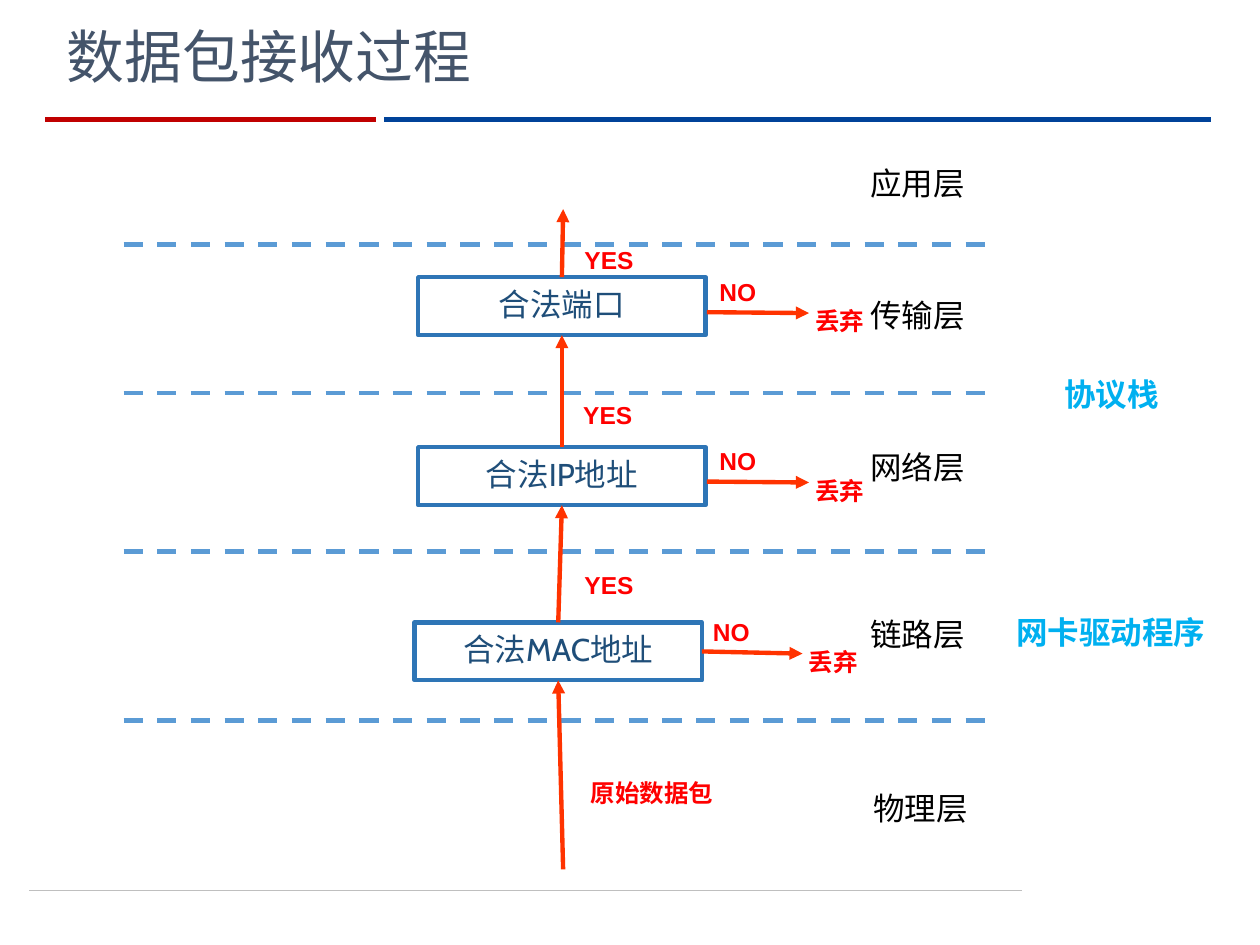
import pptx
import pptx.util
import pptx.dml.color
import pptx.enum.dml
import pptx.enum.shapes
import pptx.enum.text
import pptx.oxml.ns
import lxml.etree

Pt = pptx.util.Pt
Anchor = pptx.enum.text.MSO_ANCHOR
Align = pptx.enum.text.PP_ALIGN
TOP, BOTTOM, RIGHT = 0, 2, 3

COLORS = {
    "title": "44546A",
    "footer_rule": "BFBFBF",
    "blue_rule": "004299",
    "red_rule": "C00000",
    "divider": "5B9BD5",
    "arrow": "FF3300",
    "box_fill": "FFFFFF",
    "box_line": "2E75B6",
    "box_text": "1F4E79",
    "layer": "000000",
    "verdict": "FF0000",
    "component": "00B0F0",
}


def color(name):
    return pptx.dml.color.RGBColor.from_string(COLORS[name])


def write_run(paragraph, text, size, font_name, color_name, bold=False):
    run = paragraph.add_run()
    run.text = text
    run.font.size = Pt(size)
    run.font.name = font_name
    run.font.bold = bold
    run.font.color.rgb = color(color_name)
    paragraph.line_spacing = 0.9


def add_title(slide, text):
    title = slide.shapes.title
    title.left, title.top, title.width, title.height = Pt(31), Pt(9.4), Pt(342), Pt(46)
    frame = title.text_frame
    frame.auto_size = pptx.enum.text.MSO_AUTO_SIZE.NONE
    frame.vertical_anchor = Anchor.BOTTOM
    paragraph = frame.paragraphs[0]
    paragraph.alignment = Align.LEFT
    write_run(paragraph, text, 33, "Cabin", "title")


def add_line(slide, start, end, color_name, width):
    line = slide.shapes.add_connector(
        pptx.enum.shapes.MSO_CONNECTOR.STRAIGHT, *map(Pt, start + end))
    line.line.color.rgb = color(color_name)
    line.line.width = Pt(width)
    lxml.etree.SubElement(line._element.spPr, pptx.oxml.ns.qn("a:effectLst"))
    return line


def add_divider(slide, y):
    divider = add_line(slide, (70.6, y), (569.5, y), "divider", 2.75)
    divider.line.dash_style = pptx.enum.dml.MSO_LINE.DASH


def add_arrow(slide, start, end, source=None, target=None):
    arrow = add_line(slide, start, end, "arrow", 2.5)
    tail = lxml.etree.SubElement(arrow.line._get_or_add_ln(), pptx.oxml.ns.qn("a:tailEnd"))
    tail.set("type", "triangle")
    if source is not None:
        arrow.begin_connect(*source)
    if target is not None:
        arrow.end_connect(*target)


def add_check_box(slide, left, top, text):
    shape = slide.shapes.add_shape(
        pptx.enum.shapes.MSO_SHAPE.RECTANGLE, Pt(left), Pt(top), Pt(164.2), Pt(33.1))
    shape.shadow.inherit = False
    shape.fill.solid()
    shape.fill.fore_color.rgb = color("box_fill")
    shape.line.color.rgb = color("box_line")
    shape.line.width = Pt(2.5)
    shape.text_frame.vertical_anchor = Anchor.MIDDLE
    paragraph = shape.text_frame.paragraphs[0]
    paragraph.alignment = Align.CENTER
    paragraph.space_before = Pt(3.6)
    write_run(paragraph, text, 18, "Cabin", "box_text")
    return shape


def add_label(slide, left, top, width, text, size, color_name, bold=True):
    height = 26.6 if size == 18 else 22.3
    label = slide.shapes.add_textbox(Pt(left), Pt(top), Pt(width), Pt(height))
    frame = label.text_frame
    frame.word_wrap = False
    frame.auto_size = pptx.enum.text.MSO_AUTO_SIZE.SHAPE_TO_FIT_TEXT
    paragraph = frame.paragraphs[0]
    paragraph.space_before = Pt(size * 0.2)
    write_run(paragraph, text, size, "Arial", color_name, bold)


def add_reject_branch(slide, x, y, source=None):
    add_label(slide, x, y - 22, 36, "NO", 14, "verdict")
    add_arrow(slide, (x, y), (x + 58.3, y + 0.5), source)
    add_label(slide, x + 54.7, y - 5, 42.5, "丢弃", 14, "verdict")


def main():
    presentation = pptx.Presentation()
    presentation.slide_width, presentation.slide_height = Pt(720), Pt(540)
    slide = presentation.slides.add_slide(presentation.slide_layouts[5])

    add_line(slide, (16.6, 509), (583.9, 509), "footer_rule", 0.5)
    add_line(slide, (219.6, 68.4), (691.9, 68.4), "blue_rule", 3)
    add_line(slide, (26, 68.4), (214.6, 68.4), "red_rule", 3)
    add_title(slide, "数据包接收过程")

    for y in (139.6, 224.6, 315.2, 411.8):
        add_divider(slide, y)

    port_box = add_check_box(slide, 239, 158.4, "合法端口")
    address_box = add_check_box(slide, 239, 255.6, "合法IP地址")
    mac_box = add_check_box(slide, 236.9, 355.7, "合法MAC地址")

    add_arrow(slide, (321.8, 496.8), (319, 388.8), target=(mac_box, BOTTOM))
    add_arrow(slide, (319, 355.7), (321, 288.7), (mac_box, TOP), (address_box, BOTTOM))
    add_arrow(slide, (321, 255.6), (321, 191.5), (address_box, TOP), (port_box, BOTTOM))
    add_arrow(slide, (321, 158.4), (321.8, 119.5), (port_box, TOP))

    add_reject_branch(slide, 404, 178.4)
    add_reject_branch(slide, 404, 275.2)
    add_reject_branch(slide, 400.3, 373, (mac_box, RIGHT))

    for left, top in ((326.9, 138.2), (326.2, 226.8), (326.9, 324)):
        add_label(slide, left, top, 43.2, "YES", 14, "verdict")
    add_label(slide, 330.5, 442.8, 85, "原始数据包", 14, "verdict")

    layers = (("应用层", 490.3, 92.9), ("传输层", 490.3, 167.8), ("网络层", 490.3, 254.9),
              ("链路层", 490.3, 350.6), ("物理层", 491.8, 450))
    for text, left, top in layers:
        add_label(slide, left, top, 69.1, text, 18, "layer", bold=False)

    add_label(slide, 601.2, 213.1, 69.1, "协议栈", 18, "component")
    add_label(slide, 573.8, 349.2, 124.6, "网卡驱动程序", 18, "component")

    presentation.save("out.pptx")


if __name__ == "__main__":
    main()
